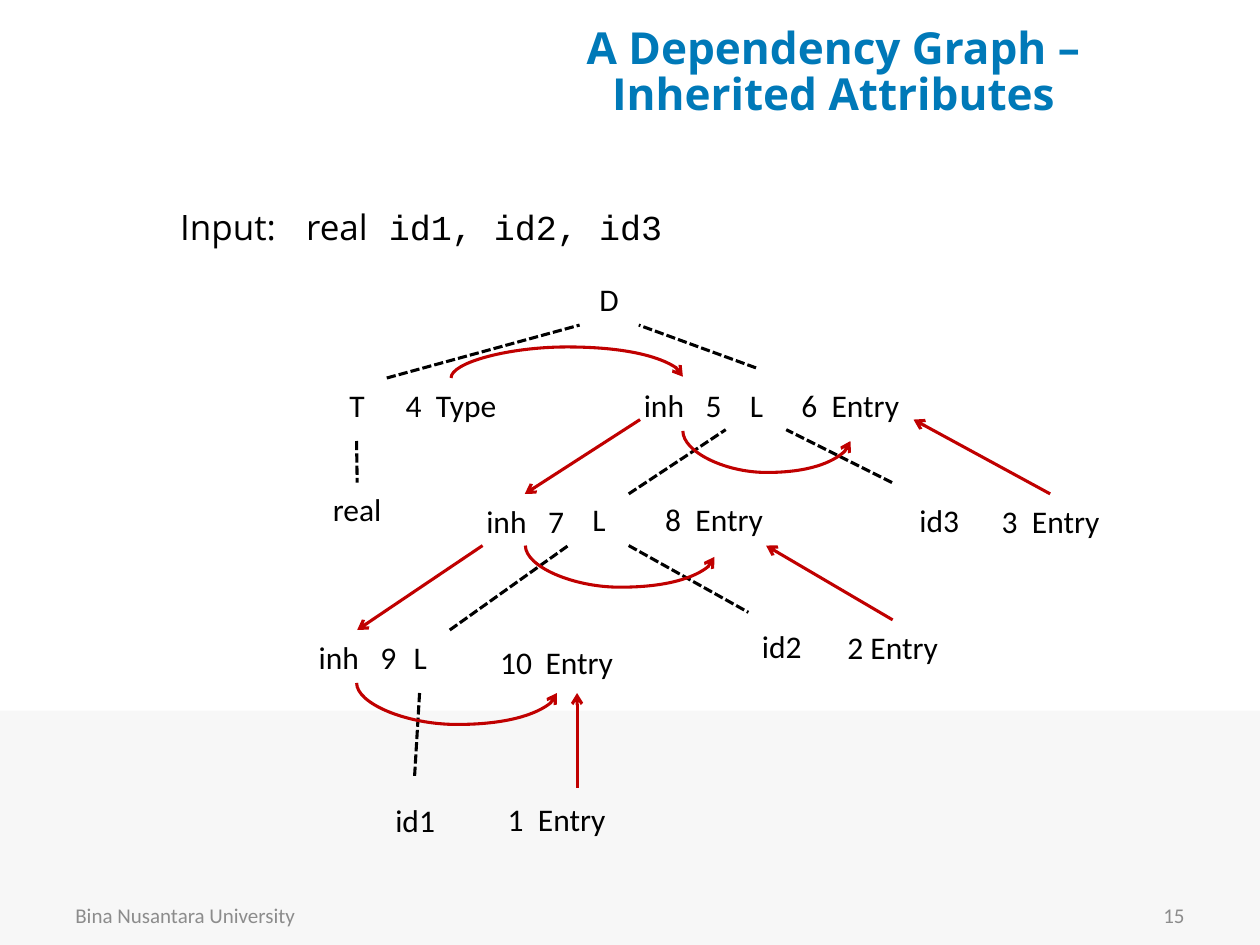
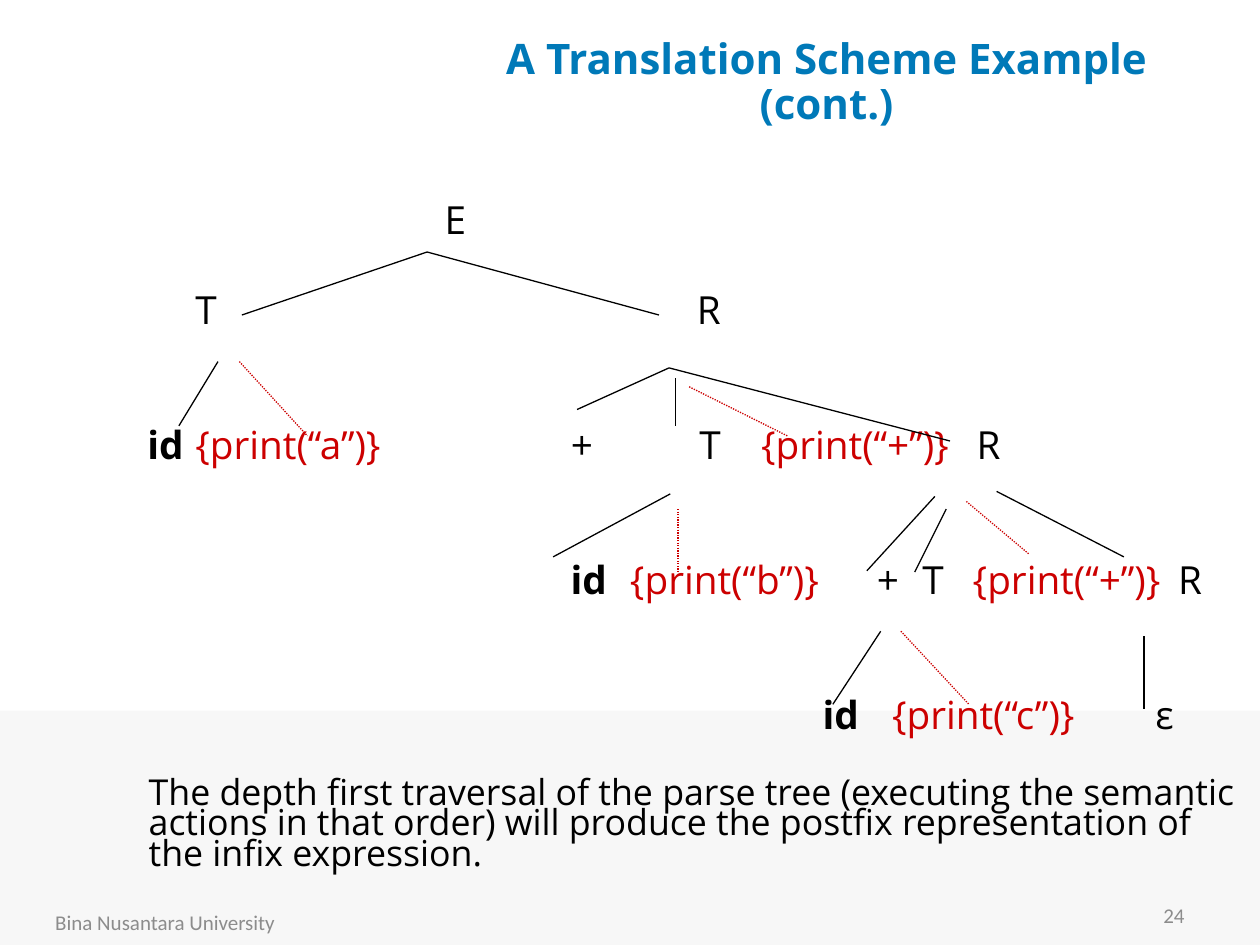
from collections import namedtuple
from dataclasses import dataclass

from lxml import etree
from pptx import Presentation
from pptx import util as u
from pptx.dml import color
from pptx.enum import dml, shapes, text
from pptx.oxml import ns

Box = namedtuple("Box", "left top width height")
Style = namedtuple("Style", "font size color bold", defaults=(False,))


@dataclass(frozen=True)
class Theme:
    band: str = "F7F7F7"
    black: str = "000000"
    arrow: str = "C00000"
    action: str = "CC0000"
    title: Style = Style("Open Sans", 25.2, "0079B8", True)
    narrow_title: Style = Style("Open Sans", 24, "0079B8", True)
    footer: Style = Style("Calibri", 12, "8C8C8C")
    node: Style = Style("Calibri", 18, "000000")
    declaration: Style = Style("Open Sans", 20, "000000")
    code: Style = Style("Courier New", 20, "000000")
    symbol: Style = Style("Open Sans", 22.1, "000000")
    token: Style = Style("Open Sans", 22.1, "000000", True)
    semantic: Style = Style("Open Sans", 22.1, "CC0000")
    remark: Style = Style("Open Sans", 20.4, "000000")


THEME = Theme()
ALIGN = text.PP_ALIGN
MIDDLE = text.MSO_ANCHOR.MIDDLE


def rgb(value):
    return color.RGBColor.from_string(value)


def inches(*values):
    return [u.Inches(value) for value in values]


def add_run(paragraph, words, style):
    run = paragraph.add_run()
    run.text = words
    run.font.name = style.font
    run.font.size = u.Pt(style.size)
    run.font.bold = style.bold
    run.font.color.rgb = rgb(style.color)


def add_tabs(paragraph, stops):
    tabs = etree.SubElement(paragraph._p.get_or_add_pPr(), ns.qn("a:tabLst"))
    for stop in stops:
        etree.SubElement(tabs, ns.qn("a:tab"), pos=str(u.Inches(stop)), algn="l")


def clear_bullet(paragraph):
    properties = paragraph._p.get_or_add_pPr()
    properties.set("marL", "0")
    properties.set("indent", "0")
    etree.SubElement(properties, ns.qn("a:buNone"))


def place(holder, box):
    holder.left, holder.top, holder.width, holder.height = inches(*box)
    frame = holder.text_frame
    frame.word_wrap = True
    frame.auto_size = text.MSO_AUTO_SIZE.NONE
    return frame.paragraphs[0]


def add_line_of_text(slide, box, runs, align=ALIGN.LEFT, inset=0.1, stops=()):
    label = slide.shapes.add_textbox(*inches(*box))
    frame = label.text_frame
    frame.word_wrap = True
    frame.vertical_anchor = MIDDLE
    frame.margin_left = u.Inches(inset)
    frame.margin_right = u.Inches(min(inset, 0.1))
    paragraph = frame.paragraphs[0]
    paragraph.alignment = align
    if stops:
        add_tabs(paragraph, stops)
    for words, style in runs:
        add_run(paragraph, words, style)
    return label


def finish_line(line, tint, weight, dash=None, arrow=False):
    line.line.color.rgb = rgb(tint)
    line.line.width = u.Pt(weight)
    if dash:
        line.line.dash_style = dash
    if arrow:
        etree.SubElement(line.line._get_or_add_ln(), ns.qn("a:tailEnd"), type="arrow")
    etree.SubElement(line._element.spPr, ns.qn("a:effectLst"))


def add_straight(slide, box, start, end, tint, weight, dash=None, arrow=False):
    line = slide.shapes.add_connector(
        shapes.MSO_CONNECTOR.STRAIGHT,
        *inches(box.left + start[0], box.top + start[1], box.left + end[0], box.top + end[1]))
    finish_line(line, tint, weight, dash, arrow)
    return line


def add_arc(slide, box, start, end, depth):
    across, drop = end[0] - start[0], abs(end[1] - start[1])
    left = box.left + (start[0] + end[0] - drop) / 2
    top = box.top + (start[1] + end[1] - across) / 2
    arc = slide.shapes.add_connector(
        shapes.MSO_CONNECTOR.CURVE, *inches(left, top, left + drop, top + across))
    turn = arc._element.spPr.find(ns.qn("a:xfrm"))
    rises = end[1] < start[1]
    turn.set("rot", str((90 if rises else 270) * 60000))
    turn.set("flipH", "1")
    if rises:
        turn.set("flipV", "1")
    bends = arc._element.spPr.find(ns.qn("a:prstGeom")).get_or_add_avLst()
    etree.SubElement(bends, ns.qn("a:gd"), name="adj1", fmla=f"val {round(depth / drop * 100000)}")
    finish_line(arc, THEME.arrow, 1.75, arrow=True)


def add_master_band(deck, slide):
    band = slide.shapes.add_shape(shapes.MSO_SHAPE.RECTANGLE, *inches(0, 5.64, 10, 1.86))
    band.shadow.inherit = False
    band.fill.solid()
    band.fill.fore_color.rgb = rgb(THEME.band)
    band.line.fill.background()
    deck.slide_master.shapes._spTree.insert(2, band._element)


def add_title(slide, box, lines, style):
    paragraph = place(slide.shapes.title, box)
    slide.shapes.title.text_frame.vertical_anchor = MIDDLE
    paragraph.alignment = ALIGN.CENTER
    paragraph.line_spacing = 0.88
    for index, words in enumerate(lines):
        if index:
            paragraph.add_line_break()
        add_run(paragraph, words, style)


def add_footer(slide, box, number):
    add_line_of_text(slide, box, [("Bina Nusantara University", THEME.footer)])
    add_line_of_text(slide, Box(7.17, 7.06, 2.33, 0.4), [(number, THEME.footer)], ALIGN.RIGHT)


def add_input(slide, box):
    paragraph = place(slide.placeholders[1], box)
    paragraph.space_before = u.Pt(0)
    clear_bullet(paragraph)
    add_tabs(paragraph, [0.91])
    add_run(paragraph, "Input:\treal", THEME.declaration)
    add_run(paragraph, " id1, id2, id3", THEME.code)


def add_grammar_node(slide, box, name, left, top, width=0.67, height=0.58):
    node = slide.shapes.add_shape(
        shapes.MSO_SHAPE.OVAL, *inches(box.left + left, box.top + top, width, height))
    node.shadow.inherit = False
    node.fill.background()
    node.line.fill.background()
    frame = node.text_frame
    frame.word_wrap = False
    frame.vertical_anchor = MIDDLE
    frame.paragraphs[0].alignment = ALIGN.CENTER
    add_run(frame.paragraphs[0], name, THEME.node)


def add_dependency_graph(slide, box):
    for node in [("D", 2.5, 0.08), ("T", 0.5, 0.92), ("L", 3.67, 0.92), ("L", 2.42, 1.83),
                 ("L", 1, 2.92), ("id3", 5.08, 1.75, 0.75, 0.75),
                 ("id2", 3.83, 2.75, 0.75, 0.75), ("id1", 0.92, 4.17, 0.75, 0.67)]:
        add_grammar_node(slide, box, *node)

    attributes = {}
    for words, left, top, height, inset, stop in [
            ("1\tEntry", 1.75, 4.25, 0.5, 0.28, 0.24), ("3\tEntry", 5.67, 1.92, 0.42, 0.28, 0.24),
            ("10\tEntry", 1.75, 3, 0.5, 0.22, 0.36), ("8\tEntry", 3, 1.83, 0.58, 0.28, 0.24),
            ("6\tEntry", 4.08, 0.92, 0.58, 0.28, 0.24), ("4\tType", 0.92, 1, 0.42, 0.3, 0.24),
            ("inh\t5", 2.75, 1, 0.42, 0.36, 0.49), ("inh\t7", 1.5, 1.92, 0.42, 0.36, 0.49),
            ("inh\t9", 0.17, 3, 0.42, 0.36, 0.49), ("2 Entry", 4.42, 2.92, 0.42, 0.1, None),
            ("real", 0.17, 1.83, 0.42, 0.1, None)]:
        attributes[words] = add_line_of_text(
            slide, Box(box.left + left, box.top + top, 1.33, height), [(words, THEME.node)],
            ALIGN.LEFT if stop else ALIGN.CENTER, inset, [stop] if stop else [])

    dash = dml.MSO_LINE.SQUARE_DOT
    for start, end in [((1.07, 1), (2.6, 0.58)), ((4, 0.92), (3.07, 0.58)),
                       ((2.99, 1.92), (3.76, 1.41)), ((1.57, 3), (2.51, 2.33)),
                       ((1.33, 3.5), (1.29, 4.17)), ((5.08, 1.83), (4.24, 1.41)),
                       ((2.99, 2.33), (3.94, 2.86))]:
        add_straight(slide, box, start, end, THEME.black, 1.75, dash)
    leaf = add_straight(slide, box, (0.83, 1.5), (0.83, 1.83), THEME.black, 1.75, dash)
    leaf.end_connect(attributes["real"], 0)

    for start, end, source, target in [
            ((6.33, 1.92), (5.25, 1.33), "3\tEntry", None),
            ((5.08, 2.92), (4.08, 2.33), "2 Entry", None),
            ((2.58, 4.25), (2.58, 3.5), None, None),
            ((3.08, 1.33), (2.17, 1.92), None, "inh\t7"),
            ((1.83, 2.33), (0.83, 3), None, "inh\t9")]:
        arrow = add_straight(slide, box, start, end, THEME.arrow, 1.75, arrow=True)
        if source:
            arrow.begin_connect(attributes[source], 0)
        if target:
            arrow.end_connect(attributes[target], 0)

    for start, end, depth in [((1.58, 1), (3.42, 0.99), 0.25), ((0.83, 3.42), (2.42, 3.5), 0.33),
                              ((2.17, 2.33), (3.67, 2.42), 0.33),
                              ((3.42, 1.42), (4.75, 1.5), 0.33)]:
        add_arc(slide, box, start, end, depth)


def add_parse_row(slide, box, level, parts):
    first = parts[0][0]
    left, middle = box.left + first, box.top + 0.24 + level * 0.357
    runs = [("\t" * (index > 0) + words, style) for index, (_, words, style) in enumerate(parts)]
    stops = [at - first for at, _, _ in parts[1:]]
    width = min(parts[-1][0] - first + 1.6, box.width - first)
    add_line_of_text(slide, Box(left, middle - 0.25, width, 0.5), runs, inset=0, stops=stops)


def add_parse_tree(slide, box):
    symbol, token, semantic = THEME.symbol, THEME.token, THEME.semantic
    rows = {
        0: [(2.53, "E", symbol)],
        2: [(0.55, "T", symbol), (4.53, "R", symbol)],
        5: [(0.17, "id", token), (0.55, "{print(“a”)}", semantic), (3.53, "+", symbol),
            (4.55, "T", symbol), (5.04, "{print(“+”)}", semantic), (6.75, "R", symbol)],
        8: [(3.53, "id", token), (4, "{print(“b”)}", semantic), (5.96, "+", symbol),
            (6.32, "T", symbol), (6.72, "{print(“+”)}", semantic), (8.35, "R", symbol)],
        11: [(5.53, "id", token), (6.08, "{print(“c”)}", semantic), (8.17, "ε", symbol)],
    }
    for level, parts in rows.items():
        add_parse_row(slide, box, level, parts)

    for start, end in [((2.39, 0.5), (0.92, 1)), ((2.39, 0.5), (4.23, 1)),
                       ((0.73, 1.37), (0.42, 1.88)), ((4.31, 1.42), (3.58, 1.75)),
                       ((4.36, 1.5), (4.36, 1.88)), ((4.31, 1.42), (6.54, 2)),
                       ((4.32, 2.42), (3.39, 2.92)), ((6.42, 2.44), (5.88, 3.03)),
                       ((6.51, 2.54), (6.26, 3.04)), ((6.91, 2.4), (7.92, 2.92)),
                       ((5.99, 3.51), (5.61, 4.09)), ((8.08, 3.55), (8.08, 4.13))]:
        add_straight(slide, box, start, end, THEME.black, 0.75)
    for start, end in [((0.9, 1.37), (1.44, 1.96)), ((4.47, 1.57), (5.25, 1.96)),
                       ((4.38, 2.54), (4.38, 3.04)), ((6.67, 2.48), (7.17, 2.9)),
                       ((6.15, 3.51), (6.69, 4.09))]:
        add_straight(slide, box, start, end, THEME.action, 0.75, dml.MSO_LINE.ROUND_DOT)


def add_remark(slide, box):
    paragraph = place(slide.placeholders[1], box)
    paragraph.line_spacing = 0.71
    paragraph.space_before = u.Pt(0)
    clear_bullet(paragraph)
    add_run(paragraph, "The depth first traversal of the parse tree (executing the semantic "
            "actions in that order) will produce the postfix representation of the infix "
            "expression.", THEME.remark)


def main():
    deck = Presentation()
    deck.slide_width, deck.slide_height = inches(10, 7.5)
    layout = deck.slide_layouts[1]

    dependency = deck.slides.add_slide(layout)
    add_master_band(deck, dependency)
    add_title(dependency, Box(3.42, 0.17, 6.39, 0.83),
              ["A Dependency Graph –", "Inherited Attributes"], THEME.title)
    add_footer(dependency, Box(0.5, 7.06, 2.33, 0.4), "15")
    add_input(dependency, Box(1.33, 1.58, 7.08, 0.5))
    add_dependency_graph(dependency, Box(2, 2, 7, 4.84))

    translation = deck.slides.add_slide(layout)
    add_title(translation, Box(3.39, 0.25, 6.34, 0.83),
              ["A Translation Scheme Example (cont.)"], THEME.narrow_title)
    add_parse_tree(translation, Box(1, 1.5, 9, 4.5))
    add_remark(translation, Box(1.08, 6.15, 8.92, 0.9))
    add_footer(translation, Box(0.34, 7.06, 2.33, 0.52), "24")

    deck.save("out.pptx")


if __name__ == "__main__":
    main()
